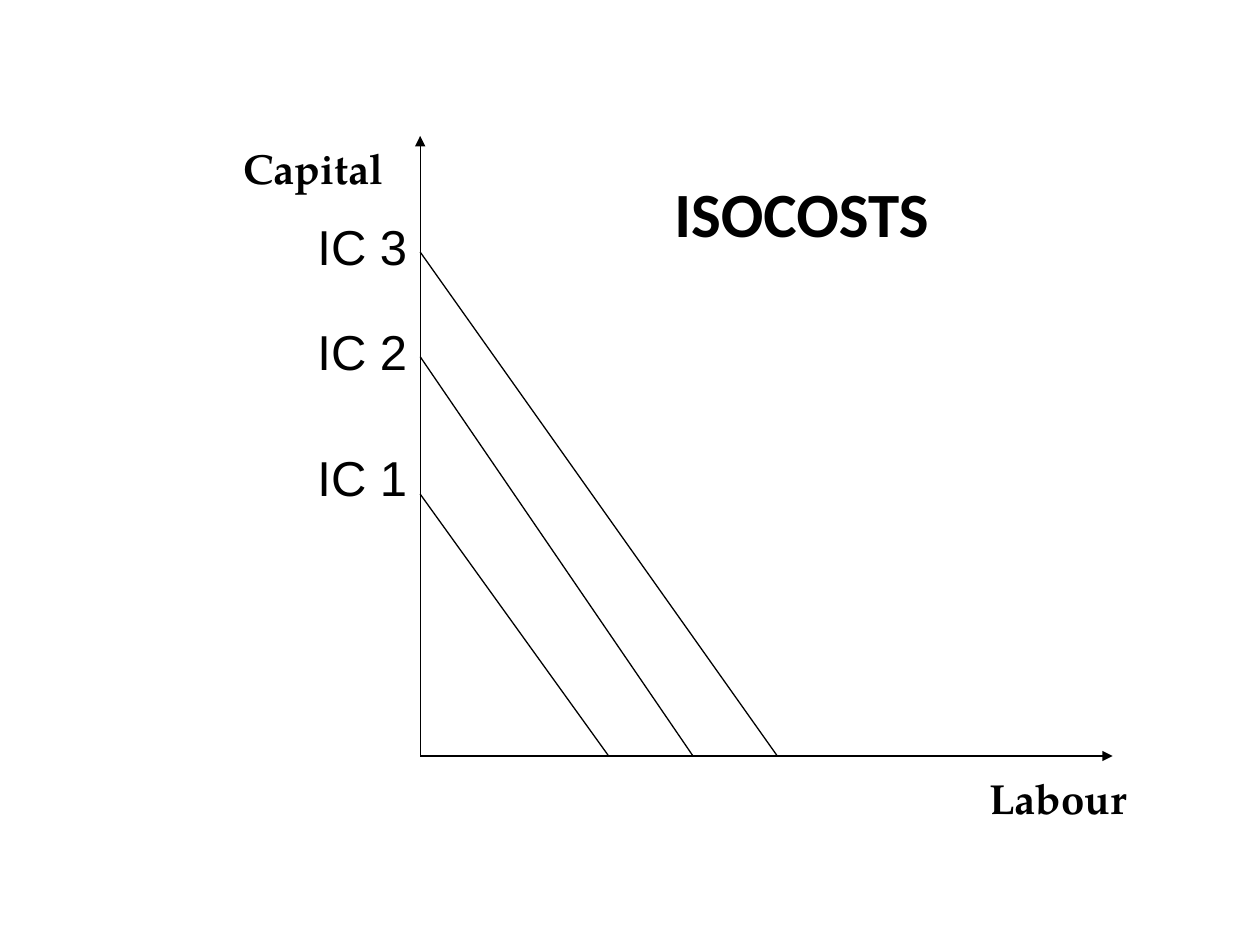
import pptx
import pptx.dml.color
import pptx.enum.shapes
import pptx.enum.text
import pptx.util
from lxml import etree
from pptx.oxml.ns import qn

Cm = pptx.util.Cm
Pt = pptx.util.Pt
BLACK = pptx.dml.color.RGBColor(0, 0, 0)

ORIGIN = (8.47, 15.24)
AXIS_ENDS = [(22.43, 15.24), (8.47, 2.74)]
FIRST_LABOUR, LABOUR_STEP = 12.27, 1.7
ISOCOSTS = [
    ("IC 1", 9.96, 8.89),
    ("IC 2", 7.19, 6.35),
    ("IC 3", 5.08, 4.24),
]
AXIS_NAMES = [("Capital", 4.66, 2.74), ("Labour", 19.69, 15.45)]
TITLE = "ISOCOSTS"


def add_line(slide, start, end, arrow=False):
    connector = slide.shapes.add_connector(
        pptx.enum.shapes.MSO_CONNECTOR.STRAIGHT, *map(Cm, start + end))
    connector.line.color.rgb = BLACK
    connector.line.width = Pt(0.75)
    if arrow:
        etree.SubElement(connector.line._get_or_add_ln(), qn("a:tailEnd"), type="triangle")
    etree.SubElement(connector._element.spPr, qn("a:effectLst"))


def write(shape, text, font_name, size, bold=False):
    frame = shape.text_frame
    frame.text = text
    frame.word_wrap = True
    frame.auto_size = pptx.enum.text.MSO_AUTO_SIZE.SHAPE_TO_FIT_TEXT
    frame.vertical_anchor = pptx.enum.text.MSO_ANCHOR.TOP
    paragraph = frame.paragraphs[0]
    paragraph.alignment = pptx.enum.text.PP_ALIGN.LEFT
    paragraph.font.name = font_name
    paragraph.font.size = Pt(size)
    paragraph.font.bold = bold
    paragraph.font.color.rgb = BLACK


def add_label(slide, box, *style):
    write(slide.shapes.add_textbox(*map(Cm, box)), *style)


def main():
    presentation = pptx.Presentation()
    presentation.slide_width, presentation.slide_height = Cm(25.4), Cm(19.05)
    slide = presentation.slides.add_slide(presentation.slide_layouts[5])

    title = slide.shapes.title
    title.left, title.top, title.width, title.height = map(Cm, (13.34, 3.39, 8.68, 1.78))
    write(title, TITLE, "Calibri", 36, True)

    for end in AXIS_ENDS:
        add_line(slide, ORIGIN, end, arrow=True)
    for name, left, top in AXIS_NAMES:
        add_label(slide, (left, top, 5.72, 1.27), name, "TeX Gyre Pagella", 24, True)

    for index, (name, capital, label_top) in enumerate(ISOCOSTS):
        labour = FIRST_LABOUR + index * LABOUR_STEP
        add_line(slide, (ORIGIN[0], capital), (labour, ORIGIN[1]))
        add_label(slide, (6.15, label_top, 3.18, 1.45), name, "Arial", 28)

    presentation.save("out.pptx")


if __name__ == "__main__":
    main()
